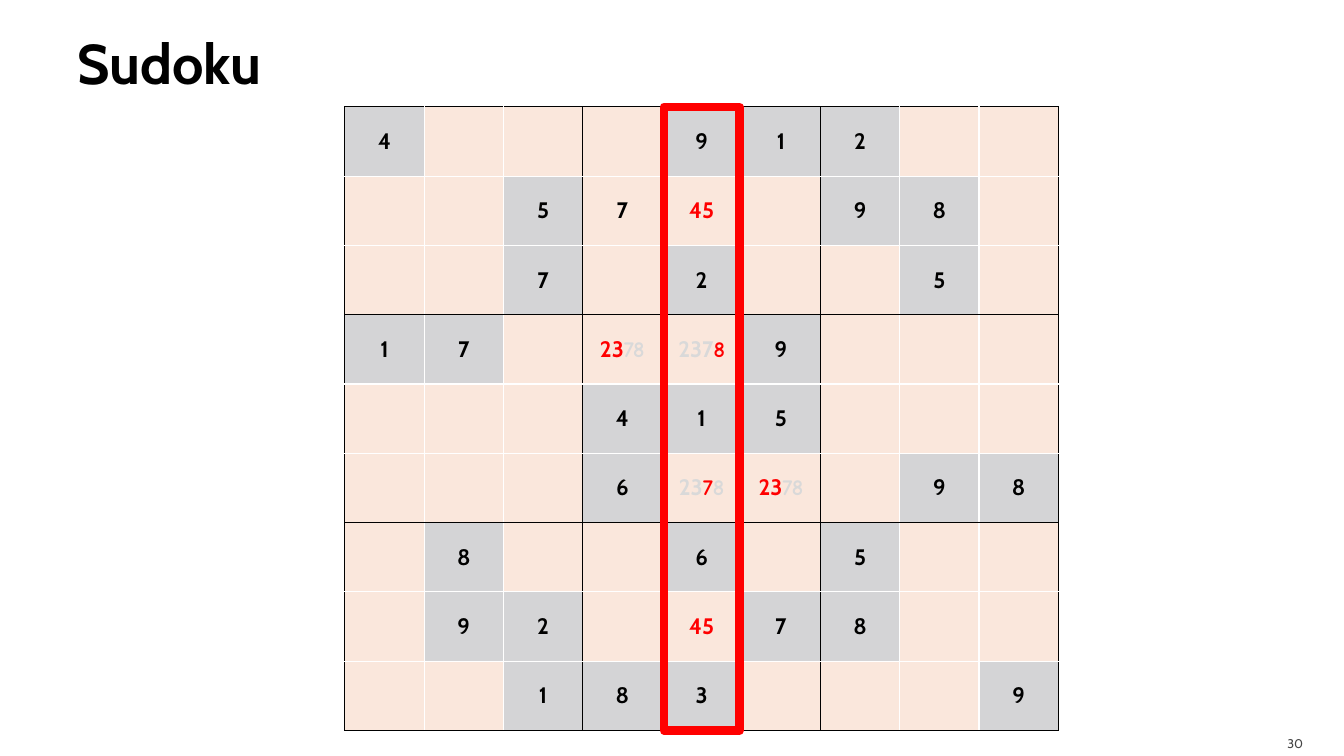
import pptx
import pptx.util
import pptx.dml.color
import pptx.enum.shapes
import pptx.enum.text
import pptx.oxml.ns
import lxml.etree

RGB = pptx.dml.color.RGBColor
BLACK = RGB(0x00, 0x00, 0x00)
WHITE = RGB(0xFF, 0xFF, 0xFF)
RED = RGB(0xFF, 0x00, 0x00)
FADED = RGB(0xD9, 0xD9, 0xD9)
FOOTER = RGB(0x45, 0x45, 0x45)
GIVEN_FILL = RGB(0xD4, 0xD4, 0xD6)
OPEN_FILL = RGB(0xFA, 0xE7, 0xDC)

MAIN_FONT = "Cabin"
NOTE_FONT = "Comic Neue"
SIZE, BOX = 9, 3

# Board position and cell size, in percent of the slide
BOARD_LEFT, BOARD_TOP = 25.66, 14.13
CELL_WIDTH, CELL_HEIGHT = 5.9, 9.17

GIVENS = [
    "4...912..",
    "..5...98.",
    "..7.2..5.",
    "17...9...",
    "...415...",
    "...6...98",
    ".8..6.5..",
    ".92..78..",
    "..183...9",
]

# Solved digits and candidates: (row, column) -> (text, font, colour) pieces
NOTES = {
    (1, 3): [("7", MAIN_FONT, BLACK)],
    (1, 4): [("45", MAIN_FONT, RED)],
    (3, 3): [("23", MAIN_FONT, RED), ("78", NOTE_FONT, FADED)],
    (3, 4): [("237", MAIN_FONT, FADED), ("8", NOTE_FONT, RED)],
    (5, 4): [("23", MAIN_FONT, FADED), ("7", NOTE_FONT, RED), ("8", NOTE_FONT, FADED)],
    (5, 5): [("23", MAIN_FONT, RED), ("78", NOTE_FONT, FADED)],
    (7, 4): [("45", MAIN_FONT, RED)],
}


class SudokuSlide:
    """Holds the style and the slide; lengths are percent of the slide."""

    def __init__(self, deck):
        self.deck = deck
        self.slide = deck.slides.add_slide(deck.slide_layouts[5])

    def x(self, percent):
        return round(self.deck.slide_width * percent / 100)

    def y(self, percent):
        return round(self.deck.slide_height * percent / 100)

    def area(self, left, top, width, height):
        return self.x(left), self.y(top), self.x(width), self.y(height)

    def style(self, run, size, color, bold=False, font=MAIN_FONT):
        run.font.name = font
        run.font.size = pptx.util.Pt(size)
        run.font.bold = bold
        run.font.color.rgb = color

    def label(self, frame, text, align, size, color, bold, right, bottom):
        frame.text = text
        frame.word_wrap = True
        frame.vertical_anchor = pptx.enum.text.MSO_ANCHOR.MIDDLE
        frame.margin_left = pptx.util.Inches(0.1)
        frame.margin_top = pptx.util.Inches(0.05)
        frame.margin_right = pptx.util.Inches(right)
        frame.margin_bottom = pptx.util.Inches(bottom)
        frame.paragraphs[0].alignment = align
        self.style(frame.paragraphs[0].runs[0], size, color, bold)

    def title(self, text, *area):
        heading = self.slide.shapes.title
        heading.left, heading.top, heading.width, heading.height = self.area(*area)
        self.label(heading.text_frame, text, pptx.enum.text.PP_ALIGN.LEFT,
                   40, BLACK, True, 0.05, 0.05)

    def page_number(self, text, *area):
        number = self.slide.shapes.add_textbox(*self.area(*area))
        self.label(number.text_frame, text, pptx.enum.text.PP_ALIGN.RIGHT,
                   9, FOOTER, False, 0.1, 0)

    def border(self, cell, side, color):
        properties = cell._tc.get_or_add_tcPr()
        line = lxml.etree.SubElement(properties, pptx.oxml.ns.qn("a:ln" + side), w="12700")
        fill = lxml.etree.SubElement(line, pptx.oxml.ns.qn("a:solidFill"))
        lxml.etree.SubElement(fill, pptx.oxml.ns.qn("a:srgbClr"), val=str(color))

    def cell(self, cell, row, column):
        # Black lines only on the edges of the 3 x 3 boxes
        edges = {"L": column, "R": column + 1, "T": row, "B": row + 1}
        for side, line_index in edges.items():
            self.border(cell, side, WHITE if line_index % BOX else BLACK)

        digit = GIVENS[row][column]
        is_given = digit != "."
        cell.fill.solid()
        cell.fill.fore_color.rgb = GIVEN_FILL if is_given else OPEN_FILL
        cell.vertical_anchor = pptx.enum.text.MSO_ANCHOR.MIDDLE

        entry = cell.text_frame.paragraphs[0]
        entry.alignment = pptx.enum.text.PP_ALIGN.CENTER
        pieces = [(digit, MAIN_FONT, BLACK)] if is_given else NOTES.get((row, column), [])
        for text, font, color in pieces:
            run = entry.add_run()
            run.text = text
            self.style(run, 16, color, True, font)

    def board(self):
        area = self.area(BOARD_LEFT, BOARD_TOP, SIZE * CELL_WIDTH, SIZE * CELL_HEIGHT)
        grid = self.slide.shapes.add_table(SIZE, SIZE, *area).table
        grid.first_row = grid.horz_banding = False
        for column in grid.columns:
            column.width = self.x(CELL_WIDTH)
        for index, row in enumerate(grid.rows):
            row.height = self.y(CELL_HEIGHT)
            for column, cell in enumerate(row.cells):
                self.cell(cell, index, column)

    def column_frame(self, column, inset):
        frame = self.slide.shapes.add_shape(
            pptx.enum.shapes.MSO_SHAPE.RECTANGLE,
            *self.area(BOARD_LEFT + column * CELL_WIDTH + inset, BOARD_TOP,
                       CELL_WIDTH - 2 * inset, SIZE * CELL_HEIGHT))
        frame.shadow.inherit = False
        frame.fill.background()
        frame.line.color.rgb = RED
        frame.line.width = pptx.util.Pt(6)


def main():
    deck = pptx.Presentation()
    deck.slide_width = pptx.util.Inches(13.33)
    deck.slide_height = pptx.util.Inches(7.5)

    sudoku = SudokuSlide(deck)
    sudoku.title("Sudoku", 5, 1.07, 90, 14.4)
    sudoku.page_number("30", 89.7, 96, 8, 4)
    sudoku.board()
    # Highlight of the middle column
    sudoku.column_frame(4, 0.14)

    deck.save("out.pptx")


if __name__ == "__main__":
    main()
